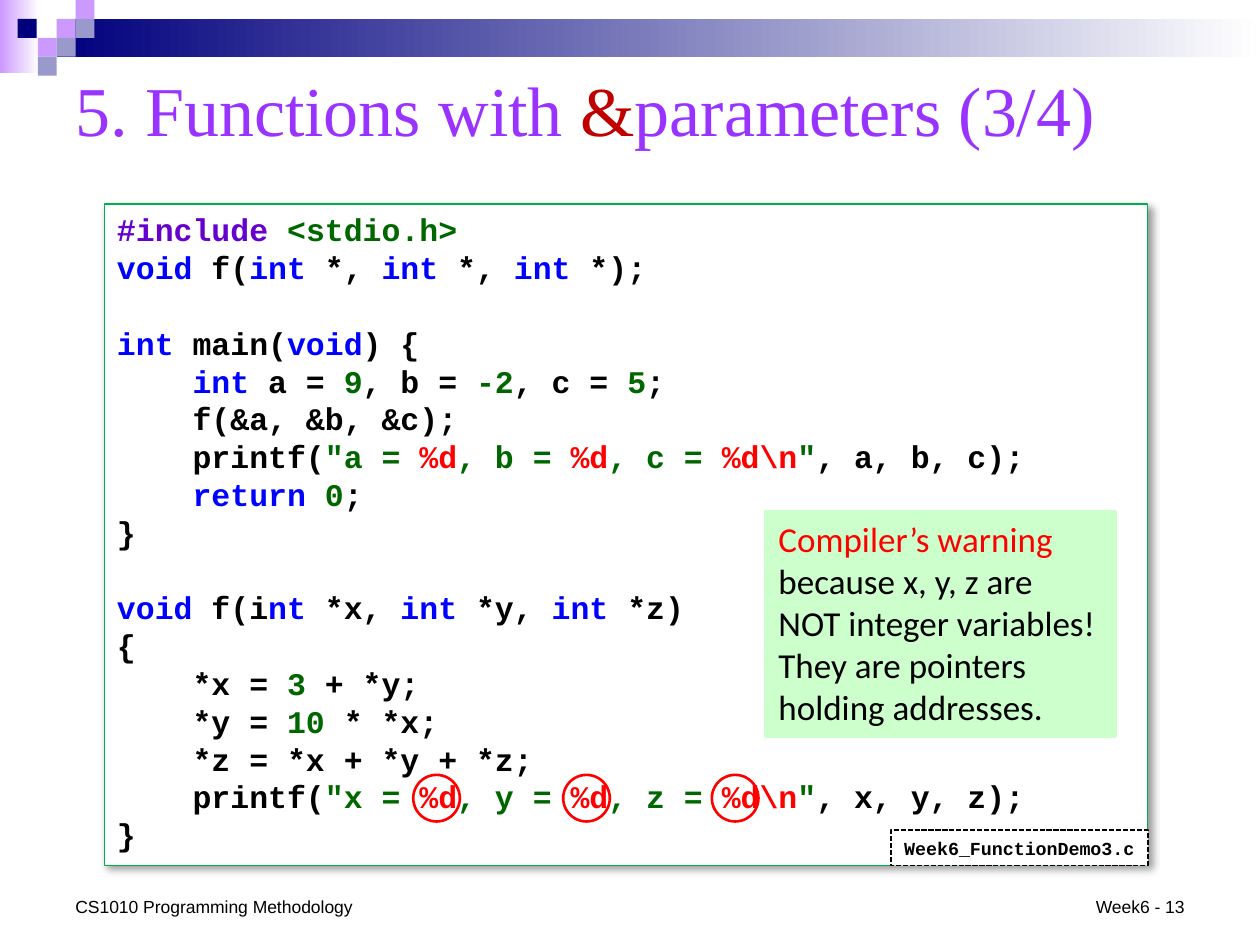
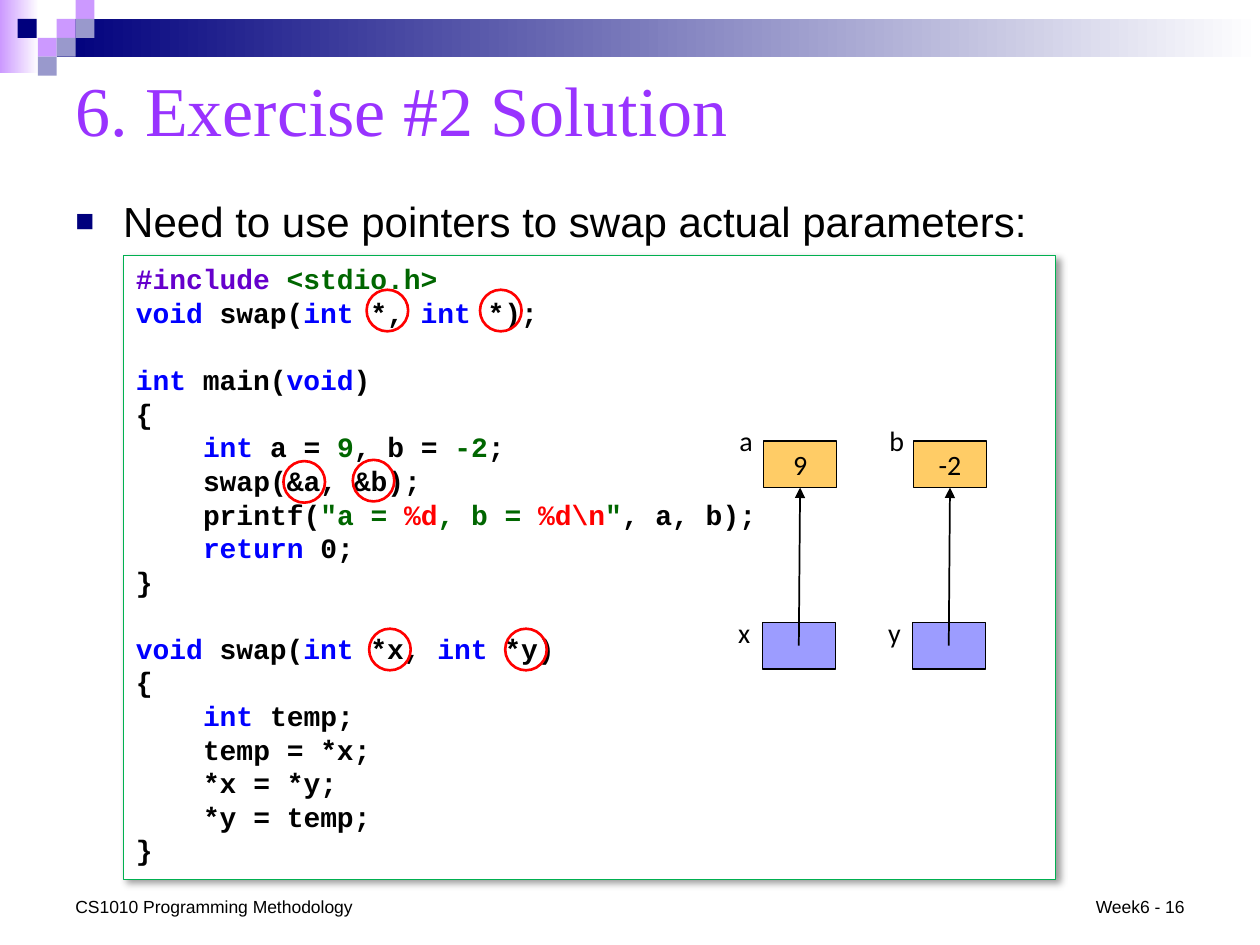
from lxml import etree
from pptx import Presentation
from pptx.dml.color import RGBColor
from pptx.enum.dml import MSO_LINE
from pptx.enum.shapes import MSO_CONNECTOR, MSO_SHAPE
from pptx.enum.text import MSO_ANCHOR, PP_ALIGN
from pptx.oxml.ns import qn
from pptx.util import Inches, Pt

RECT, OVAL, STRAIGHT = MSO_SHAPE.RECTANGLE, MSO_SHAPE.OVAL, MSO_CONNECTOR.STRAIGHT
LEFT, CENTER, RIGHT = PP_ALIGN.LEFT, PP_ALIGN.CENTER, PP_ALIGN.RIGHT
TOP, MIDDLE, BOTTOM = MSO_ANCHOR.TOP, MSO_ANCHOR.MIDDLE, MSO_ANCHOR.BOTTOM
DASHED = MSO_LINE.SQUARE_DOT

BLACK = RGBColor(0x00, 0x00, 0x00)
WHITE = RGBColor(0xFF, 0xFF, 0xFF)
RED = RGBColor(0xFF, 0x00, 0x00)
DARK_RED = RGBColor(0xC0, 0x00, 0x00)
TITLE_PURPLE = RGBColor(0x99, 0x33, 0xFF)
NAVY = RGBColor(0x00, 0x00, 0x7D)
LILAC = RGBColor(0xCC, 0x99, 0xFF)
GREY_BLUE = RGBColor(0x99, 0x99, 0xCC)
FRAME_GREEN = RGBColor(0x00, 0xB0, 0x50)
PALE_GREEN = RGBColor(0xCC, 0xFF, 0xCC)
ORANGE = RGBColor(0xFF, 0xCC, 0x66)
PERIWINKLE = RGBColor(0x9C, 0x9C, 0xFF)

# Text between backticks is coloured by its first letter.
MARKS = {
    "p": RGBColor(0x66, 0x00, 0xCC),  # preprocessor
    "k": RGBColor(0x00, 0x00, 0xFF),  # keyword
    "g": RGBColor(0x00, 0x66, 0x00),  # literal
    "r": RED,
    "d": DARK_RED,
}

FOOTER = "CS1010 Programming Methodology"

POINTERS = {
    "title": "5. Functions with `d&`parameters (3/4)",
    "page": "Week6 - 13",
    "box": (0.83, 1.62, 8.28, 5.25),
    "size": 18,
    "code": r'''`p#include ``g<stdio.h>`
`kvoid `f(`kint` *, `kint` *, `kint` *);

`kint` main(`kvoid`) {
    `kint` a = `g9`, b = `g-2`, c = `g5`;
    f(&a, &b, &c);
    printf(`g"a = ``r%d``g, b = ``r%d``g, c = ``r%d\n``g"`, a, b, c);
    `kreturn ``g0`;
}

`kvoid` f(i`knt` *x, `kint` *y, `kint` *z)
{
    *x = `g3` + *y;
    *y = `g10` * *x;
    *z = *x + *y + *z;
    printf(`g"x = ``r%d``g, y = ``r%d``g, z = ``r%d\n``g"`, x, y, z);
}''',
    "ring_size": 0.37,
    "rings": [(3.28, 6.15), (4.47, 6.15), (5.65, 6.15)],
}
FILE_NAME = "Week6_FunctionDemo3.c"
WARNING = [
    "`rCompiler’s warning`",
    "because x, y, z are NOT integer variables!",
    "They are pointers holding addresses.",
]

SWAP = {
    "title": "6. Exercise #2 Solution",
    "page": "Week6 - 16",
    "box": (0.98, 2.03, 7.4, 4.95),
    "size": 16,
    "code": r'''`p#include ``g<stdio.h>`
`kvoid `swap(`kint `*, `kint `*);

`kint` main(`kvoid`)
{
    `kint` a = `g9`, b = `g-2`;
    swap(&a, &b);
    printf(`g"a = ``r%d``g, b = ``r%d\n``g"`, a, b);
    `kreturn` 0;
}

`kvoid` swap(`kint `*x, `kint `*y)
{
    `kint` temp;
    temp = *x;
    *x = *y;
    *y = temp;
}''',
    "ring_size": 0.33,
    "rings": [(2.91, 2.3), (3.81, 2.3), (2.25, 3.66), (2.8, 3.65),
              (2.93, 4.99), (4.01, 4.99)],
}
BULLET = "Need to use pointers to swap actual parameters:"
# variable, its value, pointer to it
MEMORY = [("a", "9", "x"), ("b", "-2", "y")]

TILE = 0.15
TILES = [  # left, top, colour
    (0.45, 0.15, LILAC), (0.6, 0, LILAC), (0.6, 0.15, GREY_BLUE),
    (0.3, 0.3, LILAC), (0.14, 0.15, NAVY), (0.45, 0.3, GREY_BLUE),
    (0.3, 0.45, GREY_BLUE),
]
BANDS = [((0, 0, 0.31, 0.58), LILAC), ((0.45, 0.15, 9.55, 0.3), NAVY)]


def write(shape, lines, size, font="Calibri", color=BLACK, bold=False,
          align=LEFT, anchor=TOP, pitch=None):
    """Fill a shape with marked lines; a pitch in points turns on code layout."""
    frame = shape.text_frame
    frame.word_wrap = True
    frame.vertical_anchor = anchor
    paragraph, gap = frame.paragraphs[0], 0
    started = False
    for line in lines:
        if not line:
            gap += pitch
            continue
        if started:
            paragraph = frame.add_paragraph()
        started = True
        paragraph.alignment = align
        if pitch:
            paragraph.line_spacing = Pt(pitch)
            paragraph.space_before = Pt(gap)
            gap = 0
            indent = len(line) - len(line.lstrip())
            properties = paragraph._p.get_or_add_pPr()
            properties.set("marL", str(Pt(indent * 0.6 * size)))
            properties.set("indent", "0")
        for i, part in enumerate(line.lstrip().split("`")):
            if not part:
                continue
            run = paragraph.add_run()
            run.text = part[1:] if i % 2 else part
            run.font.size = Pt(size)
            run.font.name = font
            run.font.bold = bold
            run.font.color.rgb = MARKS[part[0]] if i % 2 else color


def add_box(slide, place, fill=None, line=None, width=0.75, kind=RECT):
    shape = slide.shapes.add_shape(kind, *map(Inches, place))
    shape.shadow.inherit = False
    if fill is None:
        shape.fill.background()
    else:
        shape.fill.solid()
        shape.fill.fore_color.rgb = fill
    if line is None:
        shape.line.fill.background()
    else:
        shape.line.color.rgb = line
        shape.line.width = Pt(width)
    return shape


def add_label(slide, place, text, size, **style):
    label = slide.shapes.add_textbox(*map(Inches, place))
    write(label, [text], size, **style)
    return label


def add_frame(slide, content):
    """Draw the bands, tiles, title and footers common to every slide."""
    for place, color in BANDS:
        fill = add_box(slide, place, WHITE).fill
        fill.gradient()
        fill.gradient_angle = 0
        for stop, position, shade in zip(fill.gradient_stops, (0, 1), (color, WHITE)):
            stop.position = position
            stop.color.rgb = shade
    for left, top, color in TILES:
        add_box(slide, (left, top, TILE, TILE), color)
    add_label(slide, (0.5, 0.42, 9, 0.88), content["title"], 40,
              font="Times New Roman", color=TITLE_PURPLE, anchor=MIDDLE)
    add_label(slide, (0.5, 7.06, 3, 0.27), FOOTER, 10, font="Arial", anchor=BOTTOM)
    add_label(slide, (8, 7.06, 1.5, 0.27), content["page"], 10,
              font="Arial", align=RIGHT, anchor=BOTTOM)


def add_code(slide, content):
    panel = add_box(slide, content["box"], WHITE, FRAME_GREEN)
    effects = panel._element.spPr.find(qn("a:effectLst"))
    shadow = etree.SubElement(effects, qn("a:outerShdw"), blurRad=str(Pt(4)),
                              dist=str(Pt(3)), dir="2700000", algn="tl",
                              rotWithShape="0")
    black = etree.SubElement(shadow, qn("a:srgbClr"), val="000000")
    etree.SubElement(black, qn("a:alpha"), val="40000")
    size = content["size"]
    write(panel, content["code"].split("\n"), size, font="Courier New",
          bold=True, pitch=1.2 * size)


def add_rings(slide, content):
    side = content["ring_size"]
    for left, top in content["rings"]:
        add_box(slide, (left, top, side, side), line=RED, width=1.5, kind=OVAL)


def add_bullet(slide):
    label = add_label(slide, (0.5, 1.5, 9, 0.5), BULLET, 24, font="Arial")
    paragraph = label.text_frame.paragraphs[0]
    paragraph.space_before = Pt(4)
    properties = paragraph._p.get_or_add_pPr()
    properties.set("marL", str(Inches(0.38)))
    properties.set("indent", str(-Inches(0.38)))
    color = etree.SubElement(properties, qn("a:buClr"))
    etree.SubElement(color, qn("a:srgbClr"), val=str(NAVY))
    etree.SubElement(properties, qn("a:buSzPct"), val="75000")
    etree.SubElement(properties, qn("a:buFont"), typeface="Arial")
    etree.SubElement(properties, qn("a:buChar"), char="■")


def add_pointer_arrow(slide, start, target):
    """Draw an arrow from the centre of start to the bottom of target."""
    x, y = start.left + start.width // 2, start.top + start.height // 2
    arrow = slide.shapes.add_connector(STRAIGHT, x, y, x, target.top + target.height)
    arrow.end_connect(target, 2)
    arrow.line.color.rgb = BLACK
    arrow.line.width = Pt(1)
    etree.SubElement(arrow.line._get_or_add_ln(), qn("a:tailEnd"), type="triangle")
    etree.SubElement(arrow._element.spPr, qn("a:effectLst"))


def add_memory(slide):
    width, height, step = 0.58, 0.37, 1.19
    for column, (variable, value, pointer) in enumerate(MEMORY):
        left = 6.06 + column * step
        add_label(slide, (left - 0.29, 3.31, height, height), variable, 16)
        target = add_box(slide, (left, 3.5, width, height), ORANGE, BLACK)
        write(target, [value], 16, align=CENTER)
        left -= 0.01
        add_label(slide, (left - 0.29, 4.84, height, height), pointer, 16)
        start = add_box(slide, (left, 4.94, width, height), PERIWINKLE, BLACK)
        add_pointer_arrow(slide, start, target)


def build_pointers(slide):
    add_frame(slide, POINTERS)
    add_code(slide, POINTERS)
    tag = add_box(slide, (7.07, 6.59, 2.04, 0.28), WHITE, BLACK, 1)
    tag.line.dash_style = DASHED
    write(tag, [FILE_NAME], 10.5, font="Courier New", bold=True,
          align=CENTER, anchor=MIDDLE)
    warning = add_box(slide, (6.08, 4.06, 2.77, 1.78), PALE_GREEN, PALE_GREEN, 2)
    write(warning, WARNING, 20)
    add_rings(slide, POINTERS)


def build_swap(slide):
    add_frame(slide, SWAP)
    add_bullet(slide)
    add_code(slide, SWAP)
    add_rings(slide, SWAP)
    add_memory(slide)


def main():
    deck = Presentation()
    deck.slide_width, deck.slide_height = Inches(10), Inches(7.5)
    for build in (build_pointers, build_swap):
        build(deck.slides.add_slide(deck.slide_layouts[6]))
    deck.save("out.pptx")


if __name__ == "__main__":
    main()
